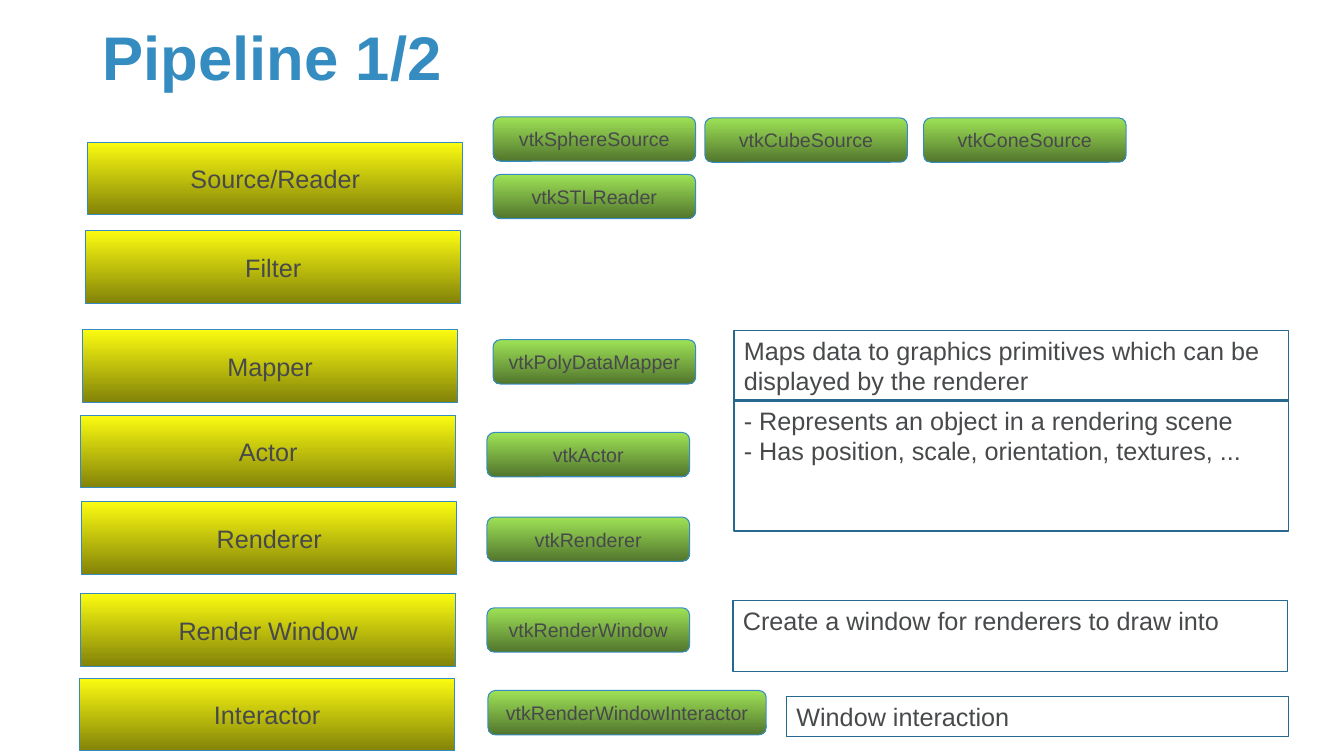
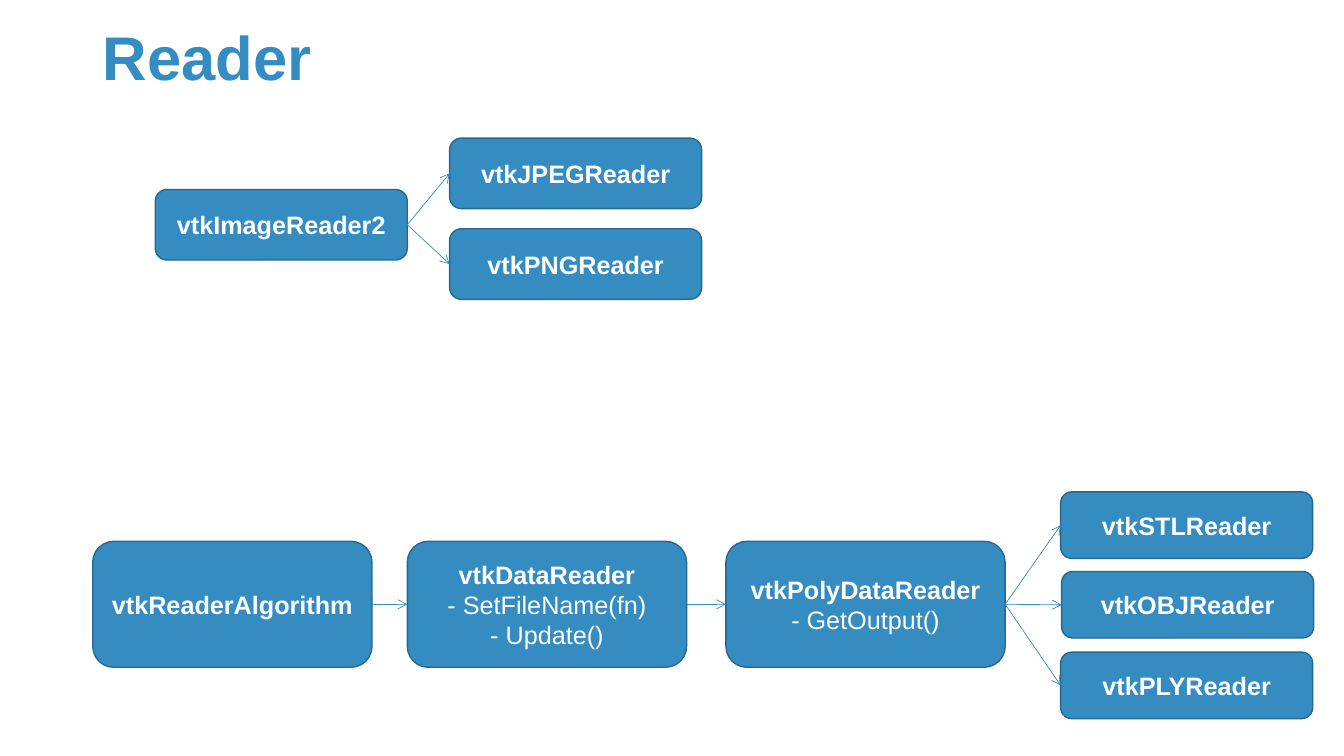
from pptx import Presentation
from pptx.dml.color import RGBColor
from pptx.enum.shapes import MSO_CONNECTOR, MSO_SHAPE as Shape
from pptx.enum.text import MSO_ANCHOR as Anchor, MSO_AUTO_SIZE, PP_ALIGN as Align
from pptx.oxml.ns import qn
from pptx.util import Inches, Pt
from lxml.etree import SubElement

COLORS = {
    "blue": "358CC1", "edge": "27688F", "text": "47494B", "white": "FFFFFF",
    "yellow": "FBFB11", "olive": "838309", "lime": "9EE256", "moss": "52762D",
}
FONT = "Arial"

# Box looks shared by all boxes of a kind
LOOKS = {
    "stage": dict(shape=Shape.FLOWCHART_PROCESS, fill=("yellow", "olive"), line="blue",
                  weight=0.75, size=18, color="text", bold=False,
                  align=Align.CENTER, anchor=Anchor.MIDDLE, wrap=False),
    "class": dict(shape=Shape.FLOWCHART_ALTERNATE_PROCESS, fill=("lime", "moss"), line="blue",
                  weight=0.75, size=14, color="text", bold=False,
                  align=Align.CENTER, anchor=Anchor.MIDDLE, wrap=False),
    "note": dict(shape=Shape.RECTANGLE, fill=(), line="edge",
                 weight=1, size=18, color="text", bold=False,
                 align=Align.LEFT, anchor=Anchor.TOP, wrap=True),
    "reader": dict(shape=Shape.ROUNDED_RECTANGLE, fill=("blue",), line="edge",
                   weight=1, size=18, color="white", bold=True,
                   align=Align.CENTER, anchor=Anchor.MIDDLE, wrap=True),
}

# Pipeline content: text, left, top (and width, height where they vary)
STAGE_SIZE = (3.72, 0.72)
STAGES = [
    ("Source/Reader", 0.87, 1.41),
    ("Filter", 0.85, 2.29),
    ("Mapper", 0.82, 3.27),
    ("Actor", 0.8, 4.12),
    ("Renderer", 0.81, 4.98),
    ("Render Window", 0.8, 5.89),
    ("Interactor", 0.79, 6.73),
]
CLASS_HEIGHT = 0.44
CLASSES = [
    ("vtkSphereSource", 4.89, 1.16, 2.01),
    ("vtkCubeSource", 6.99, 1.17, 2.01),
    ("vtkConeSource", 9.16, 1.17, 2.01),
    ("vtkSTLReader", 4.89, 1.73, 2.01),
    ("vtkPolyDataMapper", 4.89, 3.37, 2.01),
    ("vtkActor", 4.83, 4.29, 2.01),
    ("vtkRenderer", 4.83, 5.13, 2.01),
    ("vtkRenderWindow", 4.83, 6.03, 2.01),
    ("vtkRenderWindowInteractor", 4.84, 6.85, 2.76),
]
NOTES = [
    (["Maps data to graphics primitives which can be displayed by the renderer"],
     (7.28, 3.28, 5.5, 0.7)),
    (["- Represents an object in a rendering scene",
      "- Has position, scale, orientation, textures, ..."], (7.28, 3.97, 5.5, 1.3)),
    (["Create a window for renderers to draw into"], (7.27, 5.96, 5.5, 0.7)),
    (["Window interaction"], (7.8, 6.91, 4.98, 0.4)),
]

# Reader content: sizes by group, then class name, methods, left, top
READERS = [
    ((2.5, 0.7), [
        ("vtkImageReader2", [], 1.54, 1.88),
        ("vtkJPEGReader", [], 4.46, 1.37),
        ("vtkPNGReader", [], 4.46, 2.27),
    ]),
    ((2.77, 1.25), [
        ("vtkReaderAlgorithm", [], 0.92, 5.37),
        ("vtkDataReader", ["- SetFileName(fn)", "- Update()"], 4.04, 5.37),
        ("vtkPolyDataReader", ["- GetOutput()"], 7.2, 5.37),
    ]),
    ((2.5, 0.66), [
        ("vtkSTLReader", [], 10.52, 4.88),
        ("vtkOBJReader", [], 10.53, 5.67),
        ("vtkPLYReader", [], 10.52, 6.47),
    ]),
]
CHILDREN = {
    "vtkImageReader2": ["vtkJPEGReader", "vtkPNGReader"],
    "vtkReaderAlgorithm": ["vtkDataReader"],
    "vtkDataReader": ["vtkPolyDataReader"],
    "vtkPolyDataReader": ["vtkSTLReader", "vtkOBJReader", "vtkPLYReader"],
}


def rgb(name):
    return RGBColor.from_string(COLORS[name])


def set_font(font, size, color, bold):
    for key, value in dict(name=FONT, size=Pt(size), bold=bold).items():
        setattr(font, key, value)
    font.color.rgb = rgb(color)


def add_page(deck, heading):
    page = deck.slides.add_slide(deck.slide_layouts[5])
    title = page.shapes.title
    place = dict(left=0.92, top=0.2, width=11.5, height=0.8)
    for key, value in place.items():
        setattr(title, key, Inches(value))
    frame = title.text_frame
    frame.text = heading
    frame.auto_size = MSO_AUTO_SIZE.NONE
    frame.vertical_anchor = Anchor.MIDDLE
    para = frame.paragraphs[0]
    para.alignment, para.line_spacing = Align.LEFT, 0.9
    set_font(para.runs[0].font, 44, "blue", True)
    return page


def paint(fill, names):
    if not names:
        fill.background()
    elif len(names) == 1:
        fill.solid()
        fill.fore_color.rgb = rgb(names[0])
    else:
        fill.gradient()
        fill.gradient_angle = 270
        for stop, name in zip(fill.gradient_stops, names):
            stop.color.rgb = rgb(name)


def add_box(page, kind, lines, place):
    look = LOOKS[kind]
    box = page.shapes.add_shape(look["shape"], *map(Inches, place))
    box.shadow.inherit = False
    paint(box.fill, look["fill"])
    box.line.color.rgb = rgb(look["line"])
    box.line.width = Pt(look["weight"])
    frame = box.text_frame
    frame.word_wrap = look["wrap"]
    frame.vertical_anchor = look["anchor"]
    for index, line in enumerate(lines):
        para = frame.add_paragraph() if index else frame.paragraphs[0]
        para.alignment = look["align"]
        span = para.add_run()
        span.text = line
        # Only the first line of a box can be bold
        set_font(span.font, look["size"], look["color"], look["bold"] and index == 0)
    return box


def add_arrow(page, parent, child):
    arrow = page.shapes.add_connector(MSO_CONNECTOR.STRAIGHT, 0, 0, 0, 0)
    arrow.begin_connect(parent, 3)
    arrow.end_connect(child, 1)
    arrow.line.color.rgb = rgb("blue")
    arrow.line.width = Pt(0.5)
    SubElement(arrow.line._get_or_add_ln(), qn("a:tailEnd"), type="arrow")
    SubElement(arrow._element.spPr, qn("a:effectLst"))


def build_pipeline(deck):
    page = add_page(deck, "Pipeline 1/2")
    for name, left, top in STAGES:
        add_box(page, "stage", [name], (left, top, *STAGE_SIZE))
    for name, left, top, width in CLASSES:
        add_box(page, "class", [name], (left, top, width, CLASS_HEIGHT))
    for lines, place in NOTES:
        add_box(page, "note", lines, place)


def build_readers(deck):
    page = add_page(deck, "Reader")
    boxes = {}
    for size, group in READERS:
        for name, methods, left, top in group:
            boxes[name] = add_box(page, "reader", [name, *methods], (left, top, *size))
    for parent, children in CHILDREN.items():
        for child in children:
            add_arrow(page, boxes[parent], boxes[child])


def main():
    deck = Presentation()
    deck.slide_width, deck.slide_height = Inches(13.33), Inches(7.5)
    build_pipeline(deck)
    build_readers(deck)
    deck.save("out.pptx")


if __name__ == "__main__":
    main()
